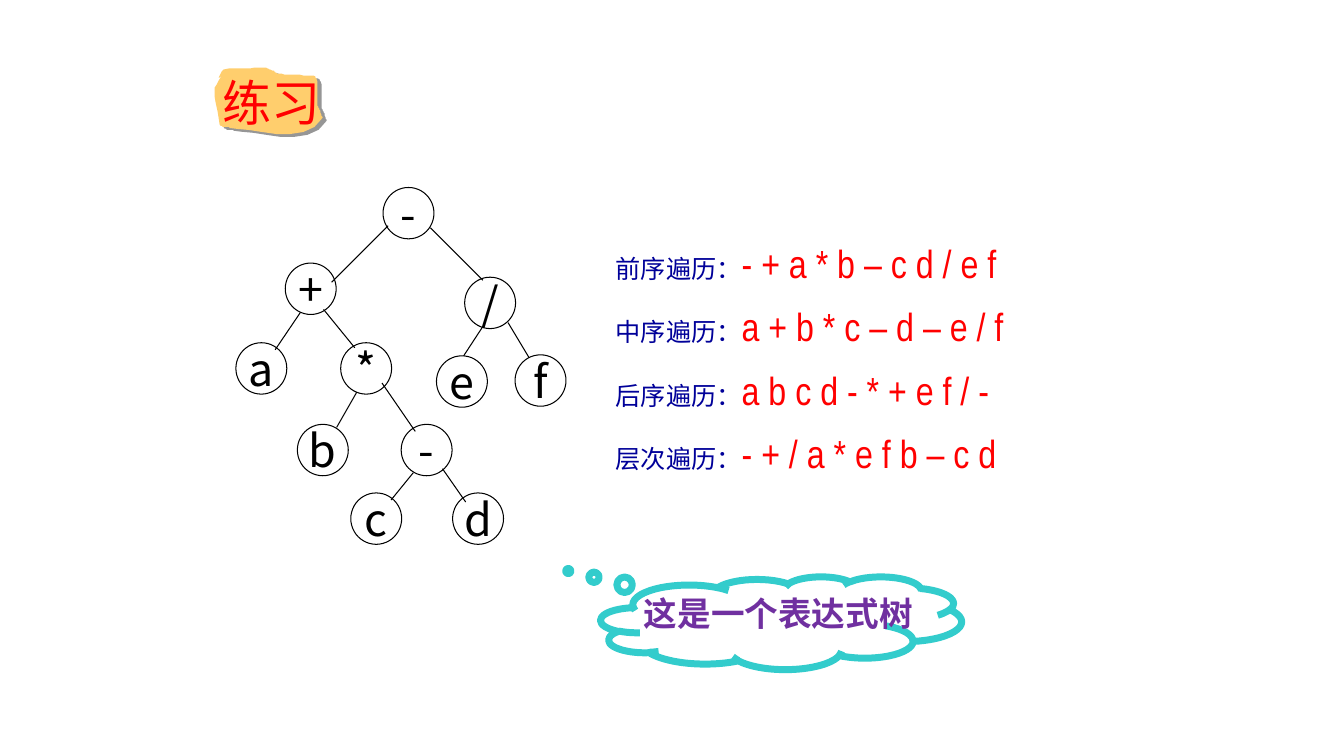
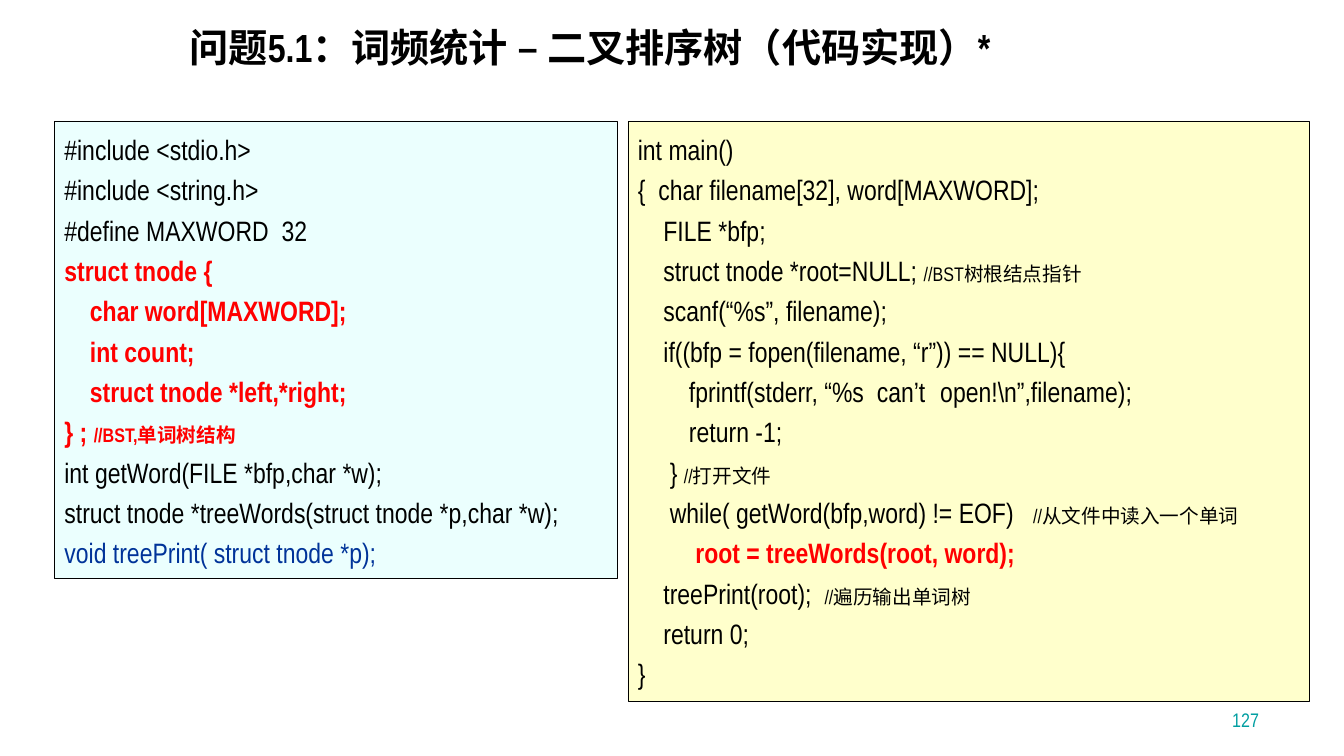
from lxml import etree
from pptx import Presentation
from pptx import util as u
from pptx.dml.color import RGBColor
from pptx.enum import shapes, text
from pptx.oxml import parse_xml
from pptx.oxml.ns import nsdecls, qn

# Shared style: a square grid of 80 columns by 45 rows
STEP = u.Inches(1) // 6
FONT, NODE_FONT = "Arial Narrow", "Noto Sans CJK SC"
BLACK, RED, NAVY, BLUE = "000000", "FF0000", "000099", "003399"
paint = RGBColor.from_string
SHADOW = ('<a:effectLst %s><a:outerShdw dist="{}" dir="{}" algn="ctr" rotWithShape="0">'
          '<a:srgbClr val="{}"/></a:outerShdw></a:effectLst>' % nsdecls("a"))


def grid(*steps):
    return [round(step * STEP) for step in steps]


def write(para, content, size, color=BLACK, bold=False, font=FONT):
    span = para.add_run()
    span.text = content
    span.font.name = font
    span.font.size = u.Pt(size)
    span.font.bold = bold
    span.font.color.rgb = paint(color)
    return span


deck = Presentation()
deck.slide_width, deck.slide_height = grid(80, 45)

# Titles of both slides
titles = [
    ("练习", (12.66, 4.02, 10.38, 4.08), 35, RED, False, 1, text.MSO_ANCHOR.TOP),
    ("问题5.1：词频统计 – 二叉排序树（代码实现）*", (10.68, 0.3, 57.3, 5.52),
     28, BLACK, True, 0.8, text.MSO_ANCHOR.MIDDLE),
]
pages = []
for content, place, size, color, bold, spacing, anchor in titles:
    page = deck.slides.add_slide(deck.slide_layouts[5])
    title = page.shapes.title
    title.left, title.top, title.width, title.height = grid(*place)
    frame = title.text_frame
    frame.word_wrap = True
    frame.auto_size = text.MSO_AUTO_SIZE.NONE
    frame.vertical_anchor = anchor
    para = frame.paragraphs[0]
    para.alignment = text.PP_ALIGN.LEFT
    para.line_spacing = spacing
    write(para, content, size, color, bold)
    pages.append(page)
tree_page, code_page = pages

# Orange blob behind the first title, in hundredths of an inch
blob_start = (220, 75)
blob_curves = [
    ((210, 91), (212, 85), (218, 124)), ((219, 127), (225, 125), (228, 127)),
    ((246, 126), (302, 147), (320, 117)), ((319, 114), (318, 111), (317, 108)),
    ((316, 107), (315, 104), (315, 104)), ((315, 95), (316, 86), (314, 78)),
    ((313, 74), (308, 75), (304, 75)), ((295, 74), (285, 74), (275, 73)),
    ((274, 72), (273, 71), (271, 70)), ((268, 69), (263, 67), (263, 67)),
    ((249, 68), (236, 67), (222, 69)), ((221, 69), (212, 83), (220, 75)),
]
outline, pen = [], blob_start
for first, second, end in blob_curves:
    for part in range(1, 9):
        t = part / 8
        outline.append(tuple(
            (1 - t) ** 3 * a + 3 * (1 - t) ** 2 * t * b + 3 * (1 - t) * t ** 2 * c + t ** 3 * d
            for a, b, c, d in zip(pen, first, second, end)))
    pen = end
builder = tree_page.shapes.build_freeform(*blob_start, scale=u.Inches(0.01))
builder.add_line_segments(outline, close=True)
blob = builder.convert_to_shape()
blob.fill.solid()
blob.fill.fore_color.rgb = paint("FFCE6D")
blob.line.fill.background()
blob.element.spPr.append(parse_xml(SHADOW.format(u.Pt(3.6), 34 * 60000, "969696")))

# The title lies on the blob and casts a shadow of its own
heading = tree_page.shapes.title
blob.element.addnext(heading.element)
heading_fill = heading.element.find(".//" + qn("a:rPr")).find(qn("a:solidFill"))
heading_fill.addnext(parse_xml(SHADOW.format(u.Pt(2), 45 * 60000, BLACK)))

# Expression tree: label, left, top, edge from the parent
nodes = [
    ("-", 22.8, 11.16, None),
    ("+", 16.98, 15.66, (23.1, 13.44, 19.74, 16.8)),
    ("/", 27.66, 16.5, (25.62, 13.56, 28.74, 16.68)),
    ("a", 14.04, 20.4, (17.88, 18.6, 16.38, 20.82)),
    ("*", 20.28, 20.4, (19.26, 18.42, 21.12, 20.7)),
    ("b", 17.7, 25.26, (21.24, 23.34, 20.04, 25.44)),
    ("-", 23.88, 25.26, (22.74, 22.8, 24.72, 25.68)),
    ("e", 25.98, 21.18, (28.74, 19.44, 27.6, 21.18)),
    ("f", 30.66, 21.12, (30.24, 19.2, 31.5, 21.3)),
    ("c", 20.88, 29.34, (24.6, 28.14, 23.28, 29.76)),
    ("d", 26.94, 29.34, (26.34, 27.9, 27.72, 29.88)),
]
for label, left, top, edge in nodes:
    node = tree_page.shapes.add_shape(shapes.MSO_SHAPE.OVAL, *grid(left, top, 3.03, 3.06))
    node.shadow.inherit = False
    node.fill.background()
    node.line.color.rgb = paint(BLACK)
    node.line.width = u.Pt(0.75)
    node.text_frame.word_wrap = False
    node.text_frame.vertical_anchor = text.MSO_ANCHOR.MIDDLE
    para = node.text_frame.paragraphs[0]
    para.alignment = text.PP_ALIGN.CENTER
    write(para, label, 32, font=NODE_FONT)
    if edge:
        branch = tree_page.shapes.add_connector(shapes.MSO_CONNECTOR.STRAIGHT, *grid(*edge))
        branch.line.color.rgb = paint(BLACK)
        branch.line.width = u.Pt(0.75)
        etree.SubElement(branch.element.spPr, qn("a:effectLst"))

# Thought cloud
cloud = tree_page.shapes.add_shape(
    shapes.MSO_SHAPE.CLOUD_CALLOUT, *grid(35.76, 34.32, 21.48, 5.52))
cloud.adjustments[0], cloud.adjustments[1] = -0.59, -0.56
cloud.shadow.inherit = False
cloud.fill.background()
cloud.line.color.rgb = paint("33CCCC")
cloud.line.width = u.Pt(5)

# Traversal rows, the cloud's words and the page number
MIDDLE, LEFT = text.MSO_ANCHOR.MIDDLE, text.PP_ALIGN.LEFT
traversals = [
    ("前序遍历：", "- + a * b – c d / e f"),
    ("中序遍历：", "a + b * c – d – e / f"),
    ("后序遍历：", "a b c d - * + e f / -"),
    ("层次遍历：", "- + / a * e f b – c d"),
]
labels = [
    (tree_page, (36.06, 13.92 + 3.78 * row, 32, 3.42), MIDDLE, LEFT,
     [(name, 18, NAVY), (order, 28, RED)])
    for row, (name, order) in enumerate(traversals)
]
labels += [
    (tree_page, (37.74, 34.98, 19.5, 3.06), text.MSO_ANCHOR.TOP, LEFT,
     [("这是一个表达式树", 24, "7030A0", True)]),
    (code_page, (58.86, 40.86, 16.68, 3), text.MSO_ANCHOR.BOTTOM, text.PP_ALIGN.RIGHT,
     [("127", 14, "009EA1")]),
]
for page, place, anchor, alignment, spans in labels:
    box = page.shapes.add_textbox(*grid(*place))
    box.text_frame.word_wrap = True
    box.text_frame.vertical_anchor = anchor
    para = box.text_frame.paragraphs[0]
    para.alignment = alignment
    for span in spans:
        write(para, *span)

# Code panels: each line is code, colour, bold and a small remark
declarations = [
    ("#include <stdio.h>",),
    ("#include <string.h>",),
    ("#define MAXWORD  32",),
    ("struct tnode {", RED, True),
    ("    char word[MAXWORD];", RED, True),
    ("    int count;", RED, True),
    ("    struct tnode *left,*right;", RED, True),
    ("} ; ", RED, True, "//BST,单词树结构"),
    ("int getWord(FILE *bfp,char *w);",),
    ("struct tnode *treeWords(struct tnode *p,char *w);",),
    ("void treePrint( struct tnode *p);", BLUE),
]
main_function = [
    ("int main()",),
    ("{  char filename[32], word[MAXWORD];",),
    ("    FILE *bfp;",),
    ("    struct tnode *root=NULL; ", BLACK, False, "//BST树根结点指针"),
    ("    scanf(“%s”, filename);",),
    ("    if((bfp = fopen(filename, “r”)) == NULL){",),
    ("        fprintf(stderr, “%s  can’t \topen!\\n”,filename);",),
    ("        return -1;",),
    ("     } ", BLACK, False, "//打开文件"),
    ("     while( getWord(bfp,word) != EOF)   ", BLACK, False, "//从文件中读入一个单词"),
    ("         root = treeWords(root, word);", RED, True),
    ("    treePrint(root);  ", BLACK, False, "//遍历输出单词树"),
    ("    return 0;",),
    ("}",),
]
panels = [
    ((3.24, 7.2, 33.48, 27.24), "EBFFFE", declarations),
    ((37.38, 7.2, 40.56, 34.56), "FFFFCC", main_function),
]
for place, color, lines in panels:
    panel = code_page.shapes.add_shape(shapes.MSO_SHAPE.RECTANGLE, *grid(*place))
    panel.shadow.inherit = False
    panel.fill.solid()
    panel.fill.fore_color.rgb = paint(color)
    panel.line.color.rgb = paint(BLACK)
    panel.line.width = u.Pt(0.25)
    frame = panel.text_frame
    frame.word_wrap = True
    frame.vertical_anchor = text.MSO_ANCHOR.TOP
    for number, (code, *style) in enumerate(lines):
        para = frame.add_paragraph() if number else frame.paragraphs[0]
        para.alignment = LEFT
        para.line_spacing = 1.2
        write(para, code, 20, *style[:2])
        for remark in style[2:]:
            write(para, remark, 14, *style[:2])

deck.save("out.pptx")
